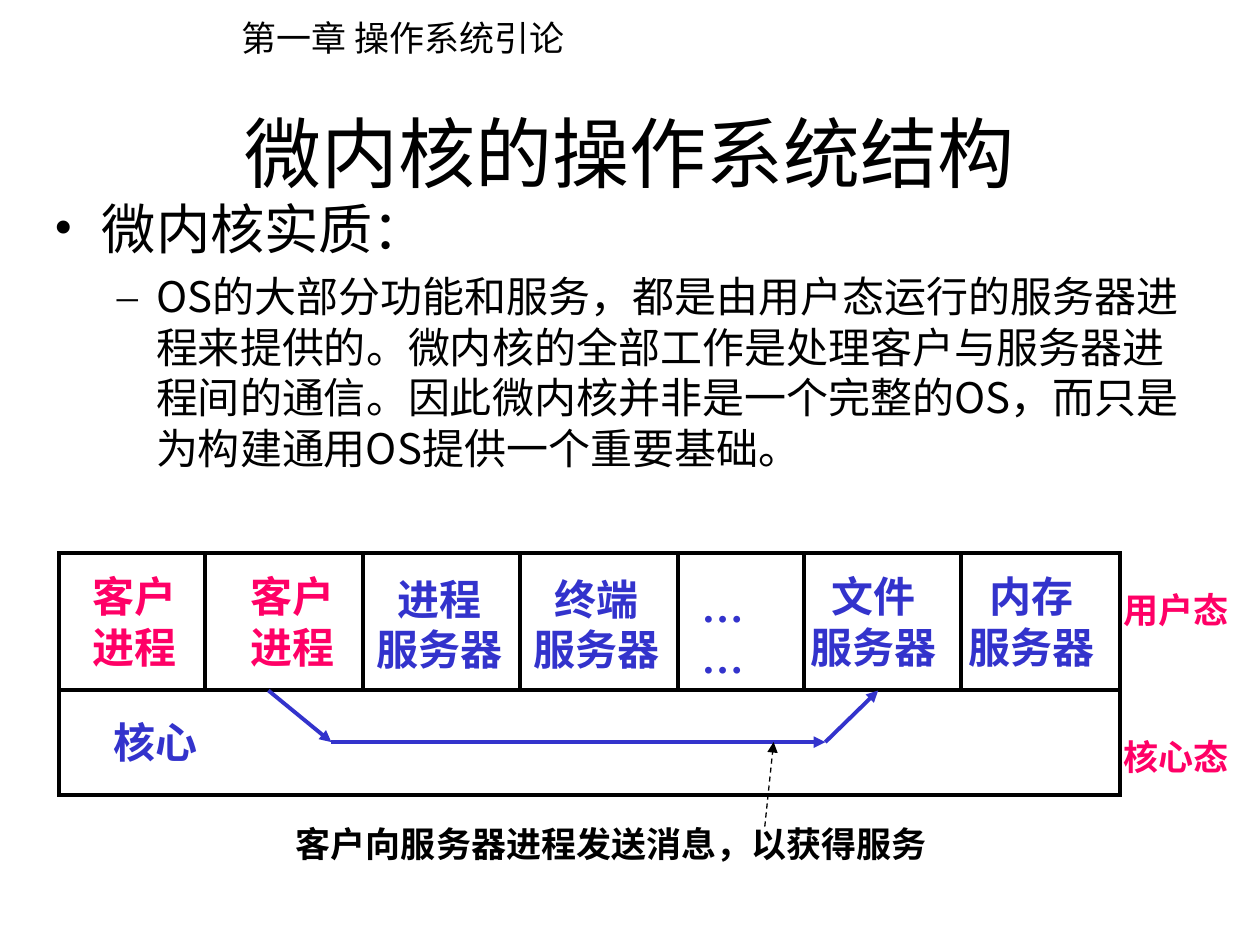
from lxml import etree
from pptx import Presentation, util as u
from pptx.dml.color import RGBColor
from pptx.enum import dml, shapes, text
from pptx.oxml.ns import qn

SANS, SERIF = "Noto Sans CJK SC", "Times New Roman"
BLACK, BLUE, PINK = "000000", "3333CC", "FF0066"
CENTER = text.PP_ALIGN.CENTER


def color(code):
    return RGBColor.from_string(code)


def write(para, words, size=24, font=SERIF, ink=BLACK, bold=False,
          align=None, before=0, left=0, hang=0, bullet=None):
    """Put formatted words into a paragraph; Chinese is always sans."""
    run = para.add_run()
    run.text = words
    run.font.size, run.font.name, run.font.bold = u.Pt(size), font, bold
    run.font.color.rgb = color(ink)
    etree.SubElement(run.font._element, qn("a:ea")).set("typeface", SANS)
    para.alignment = align
    para.space_before = u.Pt(before)
    if bullet:
        props = para._p.get_or_add_pPr()
        props.set("marL", str(u.Inches(left)))
        props.set("indent", str(-u.Inches(hang)))
        etree.SubElement(props, qn("a:buFont")).set("typeface", SERIF)
        etree.SubElement(props, qn("a:buChar")).set("char", bullet)


class Board:
    """Current slide and its line style."""

    def __init__(self, slide, width=2.25):
        self.items = slide.shapes
        self.width = width

    def frame(self, x, y, w, h, wrap=True):
        body = self.items.add_textbox(*map(u.Inches, (x, y, w, h))).text_frame
        body.word_wrap = wrap
        return body

    def label(self, x, y, w, h, *rows, wrap=True, anchor=None, **form):
        body = self.frame(x, y, w, h, wrap)
        body.vertical_anchor = anchor
        for i, row in enumerate(rows):
            write(body.add_paragraph() if i else body.paragraphs[0], row, **form)

    def box(self, x, y, w, h):
        rect = self.items.add_shape(shapes.MSO_SHAPE.RECTANGLE,
                                    *map(u.Inches, (x, y, w, h)))
        rect.shadow.inherit = False
        rect.fill.background()
        rect.line.color.rgb = color(BLACK)
        rect.line.width = u.Pt(self.width)
        join = etree.SubElement(rect.line._get_or_add_ln(), qn("a:miter"))
        join.set("lim", "800000")

    def line(self, start, end, ink=BLACK, width=None, dash=None, arrow=False):
        link = self.items.add_connector(shapes.MSO_CONNECTOR.STRAIGHT,
                                        *map(u.Inches, (*start, *end)))
        link.line.color.rgb = color(ink)
        link.line.width = u.Pt(width or self.width)
        if dash:
            link.line.dash_style = dash
        if arrow:
            tip = etree.SubElement(link.line._get_or_add_ln(), qn("a:tailEnd"))
            tip.set("type", "triangle")
        etree.SubElement(link._element.spPr, qn("a:effectLst"))


def main():
    deck = Presentation()
    deck.slide_width, deck.slide_height = u.Inches(10), u.Inches(7.5)
    board = Board(deck.slides.add_slide(deck.slide_layouts[6]))

    # Chapter and title
    board.label(1.82, 0.08, 2.83, 0.44, "第一章 操作系统引论",
                wrap=False, size=20, font=SANS)
    board.label(0.75, 0.58, 8.5, 1.25, "微内核的操作系统结构",
                anchor=text.MSO_ANCHOR.MIDDLE, size=44, align=CENTER)

    # Bullets
    body = board.frame(0.33, 1.5, 9.25, 2.58)
    write(body.paragraphs[0], "微内核实质：", size=31, font=SANS,
          before=7.7, left=0.38, hang=0.38, bullet="•")
    point = body.add_paragraph()
    point.level = 1
    write(point, "OS的大部分功能和服务，都是由用户态运行的服务器进程来提供的。"
          "微内核的全部工作是处理客户与服务器进程间的通信。"
          "因此微内核并非是一个完整的OS，而只是为构建通用OS提供一个重要基础。",
          font=SANS, before=6, left=0.81, hang=0.31, bullet="–")

    # User and kernel layers with dividers
    left, top, mid, wide = 0.47, 4.39, 5.48, 8.42
    board.box(left, top, wide, mid - top)
    board.box(left, mid, wide, 0.83)
    for x in (1.63, 2.88, 4.13, 5.38, 6.38, 7.63):
        board.line((x, top), (x, mid))

    # Processes
    for x, y, w, name, kind, ink in (
            (0.61, 4.48, 0.92, "客户", "进程", PINK),
            (1.86, 4.48, 0.92, "客户", "进程", PINK),
            (2.86, 4.5, 1.25, "进程", "服务器", BLUE),
            (4.11, 4.5, 1.25, "终端", "服务器", BLUE),
            (6.31, 4.48, 1.25, "文件", "服务器", BLUE),
            (7.56, 4.48, 1.25, "内存", "服务器", BLUE)):
        board.label(x, y, w, 0.9, name, kind, wrap=False,
                    ink=ink, bold=True, align=CENTER)
    board.label(5.47, 4.56, 0.83, 0.9, "……", ink=BLUE, bold=True)
    board.label(0.8, 5.64, 0.92, 0.5, "核心", wrap=False, ink=BLUE, bold=True)

    # Message route from client to server
    route = [(2.13, mid), (2.63, 5.89), (6.55, 5.89), (6.97, mid)]
    for start, end in zip(route, route[1:]):
        board.line(start, end, ink=BLUE, arrow=True)

    # Note on the message
    board.line((6.07, 6.56), (6.14, 5.89), width=0.75,
               dash=dml.MSO_LINE.DASH, arrow=True)
    board.label(2.25, 6.48, 6.33, 0.44, "客户向服务器进程发送消息，以获得服务",
                size=20, bold=True)

    # Mode names
    for y, name in ((4.62, "用户态"), (5.79, "核心态")):
        board.label(8.82, y, 1.15, 0.44, name, size=20, ink=PINK, bold=True)

    deck.save("out.pptx")


if __name__ == "__main__":
    main()
